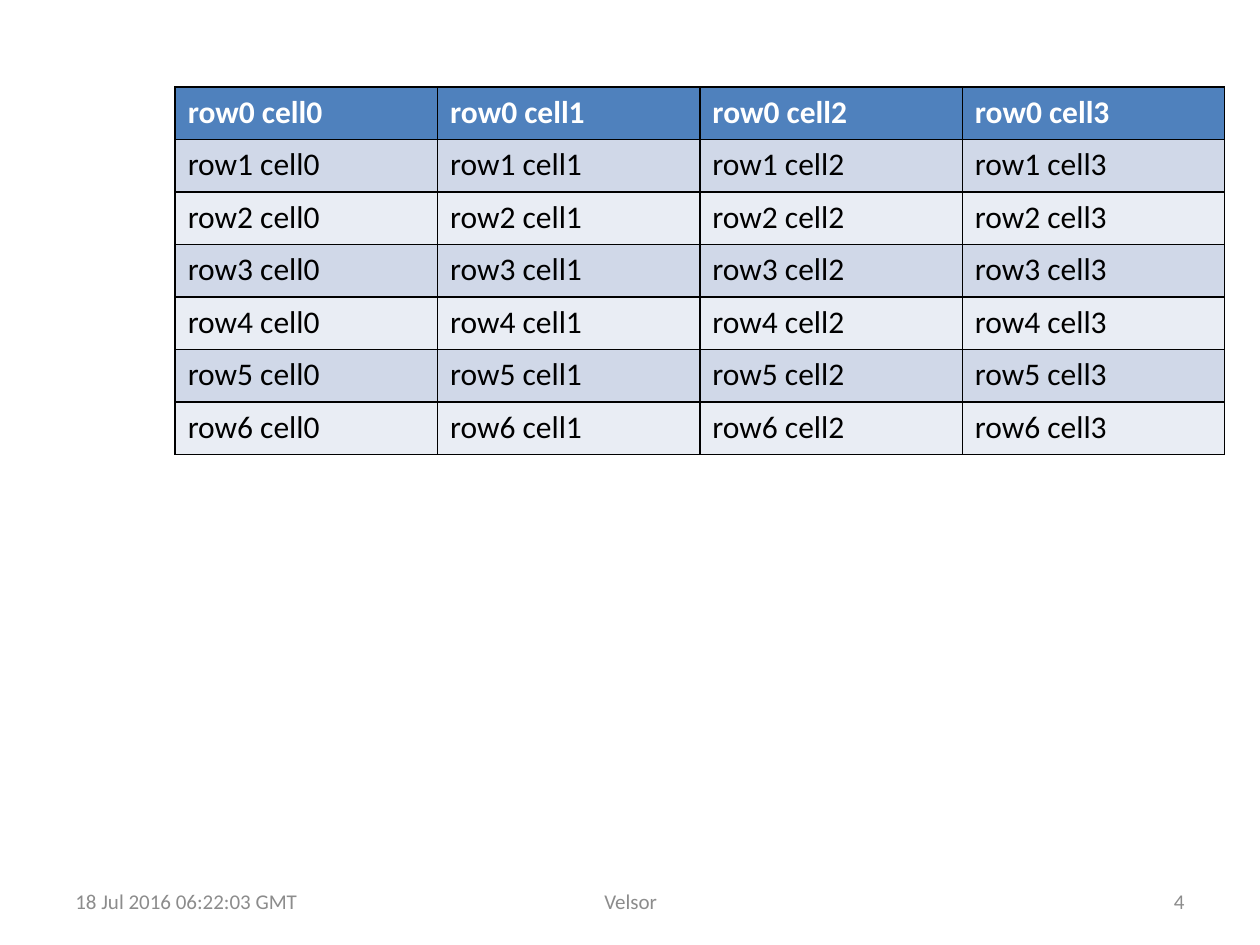
from typing import NamedTuple

from lxml import etree
from pptx import Presentation
from pptx.dml.color import RGBColor
from pptx.enum.text import MSO_ANCHOR, PP_ALIGN
from pptx.oxml.ns import qn
from pptx.util import Inches, Pt

LEFT, CENTER, RIGHT = PP_ALIGN.LEFT, PP_ALIGN.CENTER, PP_ALIGN.RIGHT
MIDDLE = MSO_ANCHOR.MIDDLE

FONT = "Calibri"
ROWS, COLS = 7, 4
TABLE_LEFT, TABLE_TOP = 1.39, 0.69
TABLE_WIDTH, TABLE_HEIGHT = 8.33, 2.92
HEADER_FILL = "4F81BD"
BAND_FILLS = ("E9EDF4", "D0D8E8")
BORDER_COLOR = "000000"
FOOTER_TOP, FOOTER_HEIGHT = 6.95, 0.4


class Footer(NamedTuple):
    """One text in the footer line."""
    text: str
    left: float
    width: float
    align: PP_ALIGN


FOOTERS = (
    Footer("18 Jul 2016 06:22:03 GMT", 0.5, 2.33, LEFT),
    Footer("Velsor", 3.42, 3.17, CENTER),
    Footer("4", 7.17, 2.33, RIGHT),
)


def rgb(value: str) -> RGBColor:
    """Turn a hex string into a colour."""
    return RGBColor.from_string(value)


def style(p, size: float, color: str, bold: bool = False) -> None:
    """Set the font of a whole paragraph."""
    p.font.name = FONT
    p.font.size = Pt(size)
    p.font.bold = bold
    p.font.color.rgb = rgb(color)


def add_footer(s, footer: Footer) -> None:
    """Draw one footer text."""
    box = s.shapes.add_textbox(Inches(footer.left), Inches(FOOTER_TOP),
                               Inches(footer.width), Inches(FOOTER_HEIGHT))
    tf = box.text_frame
    tf.word_wrap = True
    tf.vertical_anchor = MIDDLE
    p = tf.paragraphs[0]
    p.text = footer.text
    p.alignment = footer.align
    style(p, 12, "8C8C8C")


def add_borders(cell) -> None:
    """Give a cell thin lines on all four sides."""
    tc_pr = cell._tc.get_or_add_tcPr()
    for side in ("a:lnL", "a:lnR", "a:lnT", "a:lnB"):
        line = etree.SubElement(tc_pr, qn(side), w=str(Pt(1)))
        fill = etree.SubElement(line, qn("a:solidFill"))
        etree.SubElement(fill, qn("a:srgbClr"), val=BORDER_COLOR)


def add_grid(s) -> None:
    """Draw the table with a header row and banded body rows."""
    table = s.shapes.add_table(ROWS, COLS, Inches(TABLE_LEFT), Inches(TABLE_TOP),
                               Inches(TABLE_WIDTH), Inches(TABLE_HEIGHT)).table
    for row in range(ROWS):
        header = row == 0
        for col in range(COLS):
            cell = table.cell(row, col)
            add_borders(cell)
            cell.fill.solid()
            cell.fill.fore_color.rgb = rgb(HEADER_FILL if header else BAND_FILLS[row % 2])
            p = cell.text_frame.paragraphs[0]
            p.text = f"row{row} cell{col}"
            style(p, 18, "FFFFFF" if header else "000000", header)


def main() -> None:
    """Build the slide and save it."""
    prs = Presentation()
    prs.slide_width, prs.slide_height = Inches(10), Inches(7.5)
    s = prs.slides.add_slide(prs.slide_layouts[6])
    for footer in FOOTERS:
        add_footer(s, footer)
    add_grid(s)
    prs.save("out.pptx")


main()
